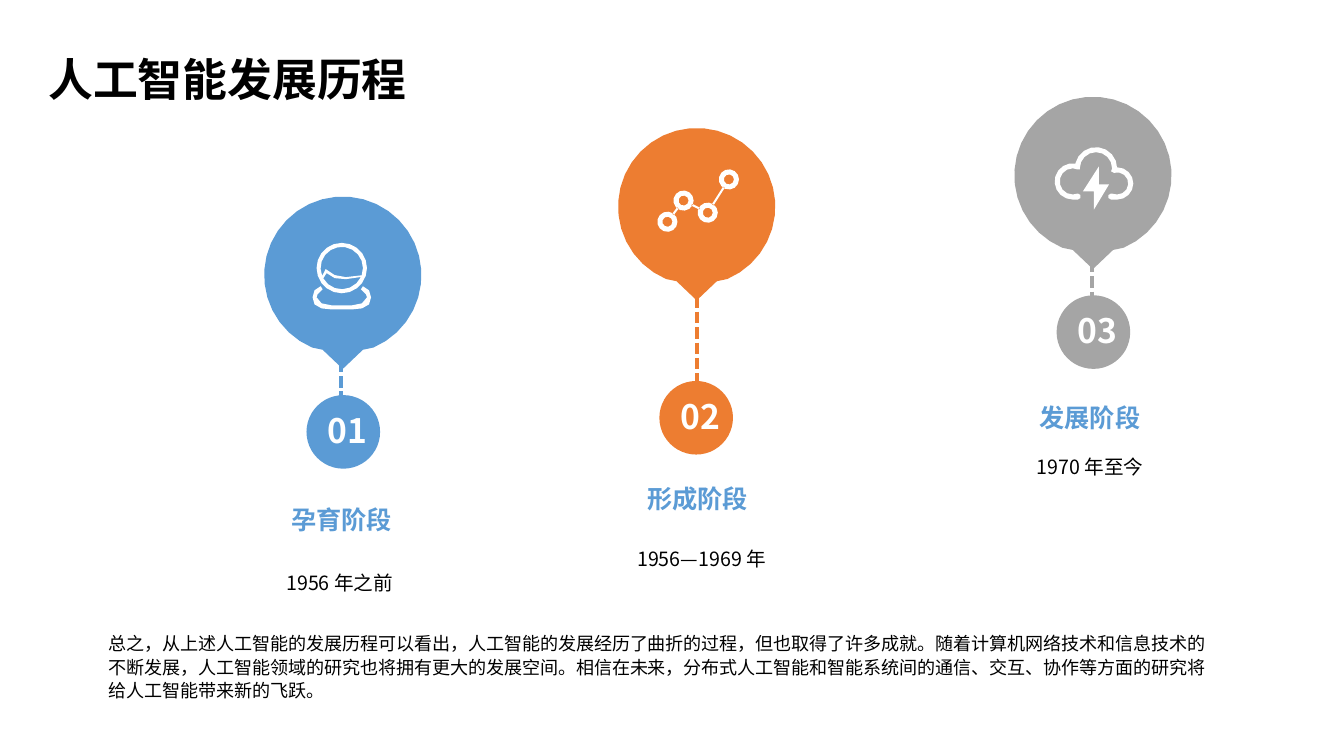
import math
import pptx
import pptx.util
import pptx.dml.color
import pptx.enum.dml
import pptx.enum.shapes
import pptx.enum.text
import pptx.oxml.ns
from dataclasses import dataclass
from lxml import etree

Inches = pptx.util.Inches
Pt = pptx.util.Pt
Rgb = pptx.dml.color.RGBColor.from_string
Align = pptx.enum.text.PP_ALIGN
Anchor = pptx.enum.text.MSO_ANCHOR
qn = pptx.oxml.ns.qn


@dataclass
class Theme:
    font: str = "Noto Sans CJK SC"
    blue: str = "5B9BD5"
    orange: str = "ED7D31"
    gray: str = "A5A5A5"
    white: str = "FFFFFF"
    black: str = "000000"
    title: float = 32
    badge: float = 24
    stage: float = 18
    year: float = 14
    body: float = 12.9
    dash: float = 2.75


theme = Theme()
deck = pptx.Presentation()
deck.slide_width, deck.slide_height = Inches(13.33), Inches(7.5)
slide = deck.slides.add_slide(deck.slide_layouts[6])
shapes = slide.shapes


def write(text, box, size, color=theme.black, bold=False, align=Align.LEFT,
          anchor=Anchor.TOP, inset=(0.1, 0.05), line=None, gap=0):
    frame = shapes.add_textbox(*map(Inches, box)).text_frame
    frame.word_wrap = True
    frame.vertical_anchor = anchor
    frame.margin_left = frame.margin_right = Inches(inset[0])
    frame.margin_top = frame.margin_bottom = Inches(inset[1])
    para = frame.paragraphs[0]
    para.alignment = align
    if line:
        para.line_spacing = line
    if gap:
        para.space_after = Pt(gap)
    run = para.add_run()
    run.text = text
    font = run.font
    font.size, font.bold, font.name = Pt(size), bold, theme.font
    font.color.rgb = Rgb(color)
    east = etree.SubElement(run._r.get_or_add_rPr(), qn("a:ea"))
    east.set("typeface", theme.font)


def trace(loops, color):
    """Fill closed loops of points (x, y) and arcs (x, y, radius, from, to)."""
    build = None
    for loop in loops:
        dots = []
        for part in loop:
            if len(part) == 2:
                dots.append(part)
                continue
            x, y, r, start, end = part
            step = 9 / math.sqrt(r)  # small arcs need fewer points
            count = max(3, round(abs(end - start) / step))
            for i in range(count + 1):
                turn = math.radians(start + (end - start) * i / count)
                dots.append((x + r * math.cos(turn), y + r * math.sin(turn)))
        dots = [(Inches(x), Inches(y)) for x, y in dots]
        if build is None:
            build = shapes.build_freeform(*dots[0], scale=1.0)
        else:
            build.move_to(*dots[0])
        build.add_line_segments(dots[1:], close=True)
    shape = build.convert_to_shape()
    shape.shadow.inherit = False
    shape.fill.solid()
    shape.fill.fore_color.rgb = Rgb(color)
    shape.line.fill.background()


write("人工智能发展历程", (0.38, 0.33, 12.57, 0.79), theme.title, bold=True,
      anchor=Anchor.MIDDLE, line=1.2)

# number, name, years, color, pin centre, dash (x, top, bottom), badge, name box, years corner
stages = [
    ("01", "孕育阶段", "1956 年之前", theme.blue, (3.4, 2.73), (3.38, 3.12, 4.34),
     (3.04, 3.92), (2.02, 4.95, 2.74, 0.4), (2.76, 5.55)),
    ("02", "形成阶段", "1956—1969 年", theme.orange, (6.91, 2.05), (6.91, 2.94, 4.21),
     (6.54, 3.78), (5.51, 4.74, 2.82, 0.4), (6.24, 5.32)),
    ("03", "发展阶段", "1970 年至今", theme.gray, (10.84, 1.74), (10.83, 2.13, 3.35),
     (10.48, 2.93), (9.43, 3.94, 2.76, 0.4), (10.2, 4.4)),
]
for number, name, years, color, pin, dash, badge, label, corner in stages:
    x, top, end = dash
    stem = shapes.add_connector(pptx.enum.shapes.MSO_CONNECTOR.STRAIGHT,
                                Inches(x), Inches(top), Inches(x), Inches(end))
    stem.line.width = Pt(theme.dash)
    stem.line.color.rgb = Rgb(color)
    stem.line.dash_style = pptx.enum.dml.MSO_LINE.SQUARE_DOT
    etree.SubElement(stem._element.spPr, qn("a:effectLst"))

    x, y = pin
    trace([[(x, y, 0.78, 113, 427), (x + 0.2, y + 0.74), (x, y + 0.93),
            (x - 0.2, y + 0.74)]], color)

    x, y = badge
    disc = shapes.add_shape(pptx.enum.shapes.MSO_SHAPE.OVAL,
                            Inches(x), Inches(y), Inches(0.73), Inches(0.73))
    disc.shadow.inherit = False
    disc.fill.solid()
    disc.fill.fore_color.rgb = Rgb(color)
    disc.line.fill.background()
    write(number, (x + 0.11, y + 0.1, 0.61, 0.5), theme.badge, theme.white, True)
    write(name, label, theme.stage, theme.blue, True, Align.CENTER, Anchor.MIDDLE)
    write(years, (*corner, 1.77, 0.79), theme.year, inset=(0.08, 0.04), line=1.3, gap=3)

# Person: a head with a fringe, above mirrored shoulders
x, y = 3.39, 2.66
trace([
    [(x, y, 0.25, 0, 360)],
    [(x, y, 0.21, 25, 151), (3.24, 2.71), (3.32, 2.76), (3.43, 2.77)],
    [(x, y, 0.21, 158, 380), (3.43, 2.75), (3.32, 2.73), (3.23, 2.67)],
], theme.white)
outer = [(0.21, 2.84), (0.27, 2.88), (0.29, 2.95), (0.27, 3.02), (0.2, 3.06), (0.1, 3.07)]
inner = [(0.1, 3.03), (0.2, 3.01), (0.25, 2.95), (0.24, 2.92), (0.19, 2.87)]
trace([[(x + dx, y) for dx, y in outer] + [(x - dx, y) for dx, y in outer[::-1]]
       + [(x - dx, y) for dx, y in inner[::-1]] + [(x + dx, y) for dx, y in inner]],
      theme.white)

# Line graph: rings joined by thin bars
nodes = [(6.62, 2.2), (6.78, 1.99), (7.02, 2.11), (7.23, 1.78)]
graph = [[(x, y, r, 0, 360)] for x, y in nodes for r in (0.1, 0.05)]
for (x1, y1), (x2, y2) in zip(nodes, nodes[1:]):
    size = math.hypot(x2 - x1, y2 - y1)
    ux, uy = (x2 - x1) / size, (y2 - y1) / size
    graph.append([(x1 + ux * run - uy * side, y1 + uy * run + ux * side)
                  for run, side in ((0.09, -0.01), (size - 0.09, -0.01),
                                    (size - 0.09, 0.01), (0.09, 0.01))])
trace(graph, theme.white)

# Cloud band with rounded ends, and its bolt
trace([[
    (11.02, 1.95, 0.03, 90, 270), (11.08, 1.82, 0.11, 90, -107), (11.02, 1.7),
    (10.87, 1.67, 0.16, 0, -180), (10.71, 1.68), (10.68, 1.68),
    (10.64, 1.8, 0.13, -90, -270), (10.69, 1.95, 0.03, -90, 90),
    (10.64, 1.8, 0.18, 90, 280), (10.87, 1.67, 0.21, 194, 360),
    (11.08, 1.82, 0.16, -90, 90),
]], theme.white)
trace([[(11, 1.83), (10.9, 1.83), (10.9, 1.65), (10.74, 1.9), (10.85, 1.9),
        (10.85, 2.08)]], theme.white)

write("总之，从上述人工智能的发展历程可以看出，人工智能的发展经历了曲折的过程，但也取得了许多成就。"
      "随着计算机网络技术和信息技术的不断发展，人工智能领域的研究也将拥有更大的发展空间。"
      "相信在未来，分布式人工智能和智能系统间的通信、交互、协作等方面的研究将给人工智能带来新的飞跃。",
      (1, 6.21, 11.19, 0.79), theme.body, inset=(0.08, 0.04), line=1.1, gap=3)

deck.save("out.pptx")
